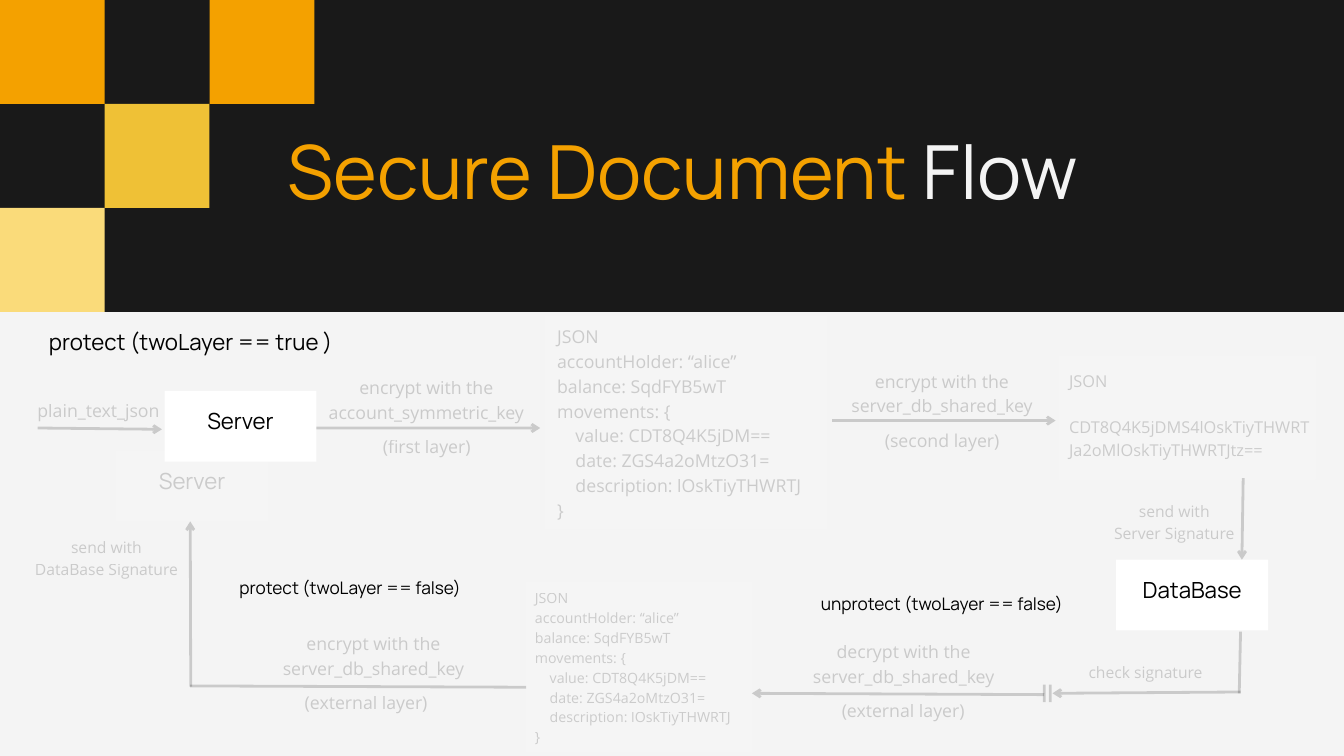
from lxml import etree
from pptx import Presentation
from pptx.dml.color import RGBColor
from pptx.enum.shapes import MSO_CONNECTOR, MSO_SHAPE
from pptx.enum.text import MSO_ANCHOR, MSO_AUTO_SIZE, PP_ALIGN
from pptx.oxml.ns import qn
from pptx.util import Cm, Pt

LEFT, CENTER = PP_ALIGN.LEFT, PP_ALIGN.CENTER
TOP, MIDDLE = MSO_ANCHOR.TOP, MSO_ANCHOR.MIDDLE
RECTANGLE, STRAIGHT = MSO_SHAPE.RECTANGLE, MSO_CONNECTOR.STRAIGHT
NO_AUTOFIT = MSO_AUTO_SIZE.NONE

DARK, PAPER, WHITE, BLACK = "191919", "F4F4F4", "FFFFFF", "000000"
ORANGE, GOLD, CREAM = "F4A100", "EFC136", "FADB7A"
HEADING, BODY = "Manrope", "Open Sans"
LEADING = {HEADING: 1.3, BODY: 1.4}
FADED = 16  # opacity in percent


def paint(fill, color, opacity=100):
    fill.solid()
    fill.fore_color.rgb = RGBColor.from_string(color)
    if opacity < 100:
        rgb = fill._xPr.find(f"{qn('a:solidFill')}/{qn('a:srgbClr')}")
        etree.SubElement(rgb, qn("a:alpha"), val=str(opacity * 1000))


def apply(target, formats):
    for name, value in formats.items():
        setattr(target, name, value)


class FlowSlide:
    """The current slide and the style of the flow diagram; lengths in cm."""

    def __init__(self, slide):
        self.slide = slide
        self.shapes = slide.shapes
        paint(slide.background.fill, PAPER)

    def frame(self, holder, insets=(0, 0, 0, 0), anchor=TOP):
        """Insets run left, top, right, bottom."""
        left, top, right, bottom = map(Cm, insets)
        text_frame = holder.text_frame
        apply(text_frame, {
            "word_wrap": True, "auto_size": NO_AUTOFIT, "vertical_anchor": anchor,
            "margin_left": left, "margin_top": top,
            "margin_right": right, "margin_bottom": bottom,
        })
        return text_frame

    def add_words(self, paragraph, words, size, font=BODY, color=BLACK, opacity=100):
        run = paragraph.add_run()
        run.text = words
        apply(run.font, {"name": font, "size": Pt(size)})
        paint(run.font.fill, color, opacity)

    def add_lines(self, text_frame, lines, size, font=BODY, opacity=FADED, align=CENTER):
        for index, words in enumerate(lines):
            paragraph = text_frame.add_paragraph() if index else text_frame.paragraphs[0]
            apply(paragraph, {"alignment": align,
                              "line_spacing": Pt(round(size * LEADING[font], 1))})
            self.add_words(paragraph, words, size, font, opacity=opacity)

    def title(self, parts, left, top, width, height, size=80):
        title = self.shapes.title
        apply(title, {"left": Cm(left), "top": Cm(top),
                      "width": Cm(width), "height": Cm(height)})
        paragraph = self.frame(title).paragraphs[0]
        apply(paragraph, {"alignment": LEFT, "line_spacing": Pt(1.2 * size)})
        for words, color in parts:
            self.add_words(paragraph, words, size, HEADING, color)
        self.shapes._spTree.append(title._element)  # in front of the band

    def block(self, left, top, width, height, color, opacity=100):
        block = self.shapes.add_shape(RECTANGLE, Cm(left), Cm(top), Cm(width), Cm(height))
        block.shadow.inherit = False
        block.line.fill.background()
        paint(block.fill, color, opacity)
        return block

    def card(self, name, left, top, opacity=100):
        card = self.block(left, top, 5.74, 2.67, WHITE, opacity)
        text_frame = self.frame(card, (0.15, 0.15, 0.15, 0.66), MIDDLE)
        self.add_lines(text_frame, [name], 23.8, HEADING, opacity)

    def document(self, lines, box, insets, size):
        panel = self.block(*box, WHITE, FADED)
        text_frame = self.frame(panel, insets)
        self.add_lines(text_frame, lines, size, align=LEFT)
        return text_frame

    def label(self, lines, left, top, width, size=19, font=BODY, opacity=FADED):
        height = Pt(size * LEADING[font] * len(lines))
        box = self.shapes.add_textbox(Cm(left), Cm(top), Cm(width), height)
        self.add_lines(self.frame(box), lines, size, font, opacity)

    def line(self, start, end, arrow=True):
        line = self.shapes.add_connector(STRAIGHT, *map(Cm, (*start, *end)))
        line.line.width = Pt(3)
        paint(line.line.fill, BLACK, FADED)
        if arrow:
            etree.SubElement(line.line._ln, qn("a:tailEnd"), type="arrow")
        etree.SubElement(line._element.spPr, qn("a:effectLst"))


def main():
    deck = Presentation()
    deck.slide_width, deck.slide_height = Cm(50.8), Cm(28.58)
    flow = FlowSlide(deck.slides.add_slide(deck.slide_layouts[5]))

    # Header band with its checkerboard
    tile_width, tile_height = 3.96, 3.93
    flow.block(0, 0, 50.8, 3 * tile_height, DARK)
    for column, row, color in [(0, 2, CREAM), (0, 0, ORANGE), (1, 1, GOLD), (2, 0, ORANGE)]:
        flow.block(column * tile_width, row * tile_height, tile_width, tile_height, color)
    flow.title([("Secure Document", ORANGE), (" Flow", PAPER)], 10.87, 4.72, 38.02, 3.63)

    # Parties
    flow.card("Server", 6.22, 14.78)
    flow.card("DataBase", 42.19, 21.16)
    flow.card("Server", 4.39, 17.04, FADED)

    # Documents
    account_json = [
        "JSON",
        "accountHolder: “alice”",
        "balance: SqdFYB5wT",
        "movements: {",
        "    value: CDT8Q4K5jDM==",
        "    date: ZGS4a2oMtzO31=",
        "    description: lOskTiyTHWRTJ",
        "}",
    ]
    flow.document(account_json, (20.6, 11.96, 10.67, 8.03), (0.46, 0.23, 0.3, 0), 19)
    flow.document(account_json, (19.89, 22, 8.55, 6.43), (0.33, 0.18, 0.25, 0), 15.2)
    encrypted = flow.document(
        ["JSON", "CDT8Q4K5jDMS4lOskTiyTHWRTJa2oMlOskTiyTHWRTJtz=="],
        (40.03, 13.46, 9.7, 4.67), (0.38, 0.46, 0.2, 0), 17.5)
    encrypted.paragraphs[1].space_before = Pt(24.5)

    # Calls
    for call, left, top, width, size in [
        ("protect (twoLayer == true )", 1.4, 12.32, 11.61, 23.8),
        ("unprotect (twoLayer == false)", 30.58, 22.38, 10.03, 18.5),
        ("protect (twoLayer == false)", 8.66, 21.74, 9.14, 18.5),
    ]:
        flow.label([call], left, top, width, size, HEADING, 100)

    # Encryption steps: action and key above the arrow, layer below it
    flow.label(["plain_text_json"], 1.4, 14.99, 4.65)
    for action, key, left, top, layer, layer_left in [
        ("encrypt", "account_symmetric_key", 11.96, 14.12, "first", 13.44),
        ("encrypt", "server_db_shared_key", 31.45, 13.87, "second", 32.92),
        ("decrypt", "server_db_shared_key", 30, 24.1, "external", 31.45),
        ("encrypt", "server_db_shared_key", 9.96, 23.79, "external", 11.15),
    ]:
        flow.label([f"{action} with the", key], left, top, 8.31)
        flow.label([f"({layer} layer)"], layer_left, top + 2.23, 5.38)

    # Signature steps
    for lines, left, top, width in [
        (["send with", "Server Signature"], 41.07, 18.85, 6.63),
        (["check signature"], 39.78, 24.94, 7.04),
        (["send with", "DataBase Signature"], 0.71, 20.22, 6.63),
    ]:
        flow.label(lines, left, top, width, 16.8)

    for start, end in [
        ((1.42, 16.18), (6.12, 16.23)),
        ((11.96, 16.18), (20.42, 16.18)),
        ((31.45, 15.9), (39.9, 15.9)),
        ((46.99, 18.08), (46.94, 21.16)),
        ((46.89, 26.16), (39.78, 26.21)),
        ((39.47, 26.26), (28.42, 26.21)),
        ((7.21, 25.96), (7.19, 19.71)),
    ]:
        flow.line(start, end)
    for start, end in [
        ((46.89, 23.88), (46.84, 26.21)),
        ((19.89, 25.98), (7.19, 25.93)),
        ((39.47, 25.88), (39.47, 26.54)),
        ((39.7, 25.88), (39.7, 26.54)),
    ]:
        flow.line(start, end, arrow=False)

    deck.save("out.pptx")


if __name__ == "__main__":
    main()
